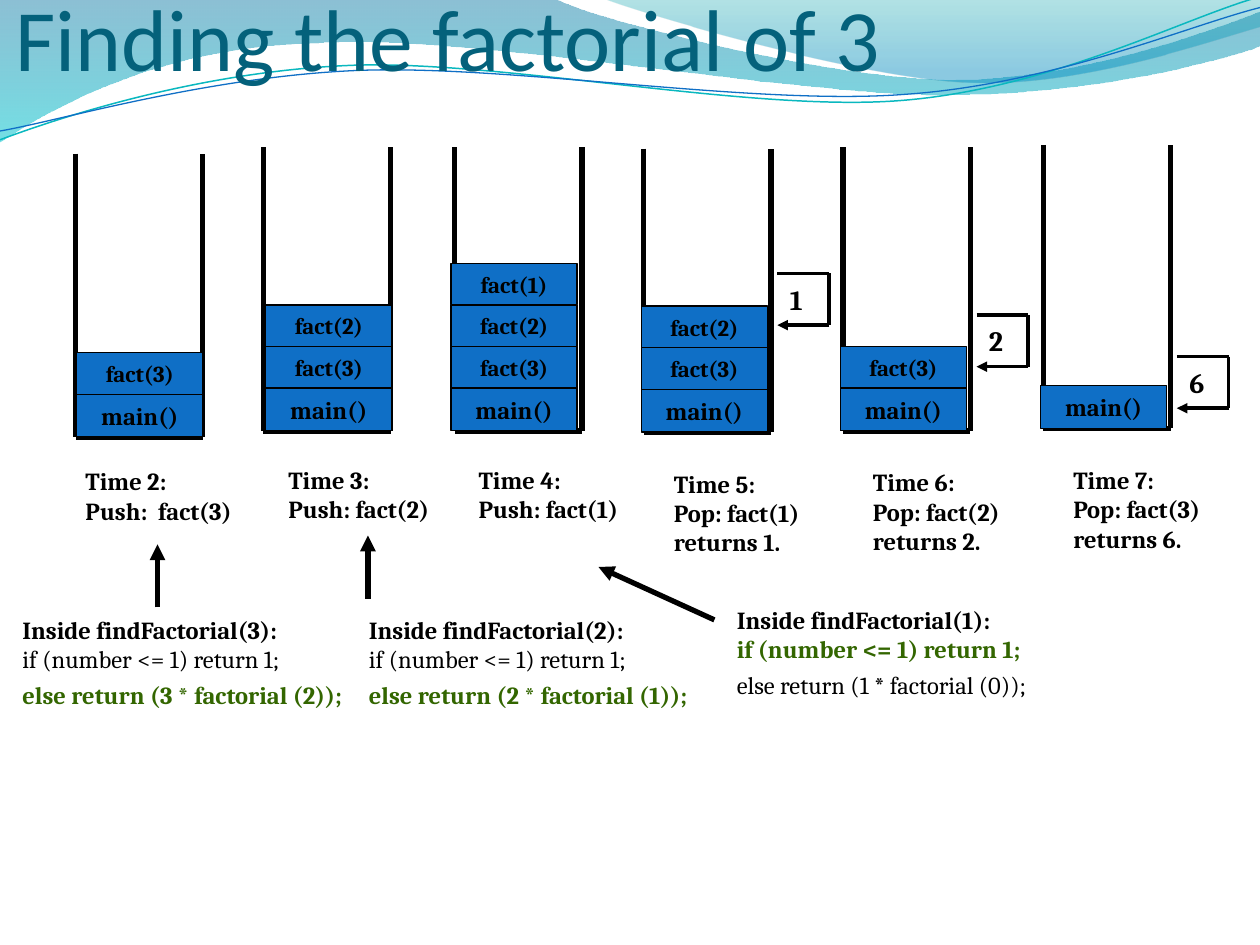
import itertools

import pptx
import pptx.dml.color
import pptx.enum.shapes
import pptx.enum.text
import pptx.oxml.ns
import pptx.util
from lxml import etree

WIDTH, HEIGHT = pptx.util.Inches(10), pptx.util.Inches(7.5)
COLUMN, ROW = WIDTH / 10, HEIGHT / 7.5  # grid of 10 columns by 7.5 rows
BLACK, BLUE, GREEN, TEAL = "000000", "0F6FC6", "336600", "04617B"
CELL_WIDTH, CELL_HEIGHT, CELL_PITCH = 1, 0.34, 0.33
RAIL_WIDTH, RAIL_HEIGHT = 1.01, 2.25
RETURN_SIZE, RETURN_GAP = 0.41, 0.05

# rail left, floor, cell shift, calls from the bottom up, caption box, caption, return (top, value)
STACKS = [
    (0.6, 3.47, 0.01, ["main()", "fact(3)"],
     (0.58, 3.65, 1.61, 0.68), ["Time 2:", "Push:  fact(3)"], None),
    (2.09, 3.42, 0.02, ["main()", "fact(3)", "fact(2)"],
     (2.19, 3.64, 1.38, 0.68), ["Time 3:", "Push: fact(2)"], None),
    (3.61, 3.42, -0.03, ["main()", "fact(3)", "fact(2)", "fact(1)"],
     (3.7, 3.64, 1.38, 0.68), ["Time 4:", "Push: fact(1)"], None),
    (5.11, 3.43, -0.02, ["main()", "fact(3)", "fact(2)"],
     (5.25, 3.67, 1.27, 1.03), ["Time 5:", "Pop: fact(1)", "returns 1."], (2.17, "1")),
    (6.69, 3.42, -0.02, ["main()", "fact(3)"],
     (6.83, 3.66, 1.27, 1.03), ["Time 6:", "Pop: fact(2)", "returns 2."], (2.5, "2")),
    (8.28, 3.4, -0.02, ["main()"],
     (8.42, 3.64, 1.27, 1.03), ["Time 7:", "Pop: fact(3)", "returns 6."], (2.83, "6")),
]
# box, argument, whether the base case is the branch taken, arrow start, arrow end
CALLS = [
    ((0.08, 4.83, 2.83, 1.23), 3, False, (1.25, 4.82), (1.25, 4.32)),
    ((2.83, 4.83, 2.83, 1.23), 2, False, (2.92, 4.75), (2.92, 4.25)),
    ((5.75, 4.75, 2.83, 1.23), 1, True, (5.67, 4.92), (4.75, 4.5)),
]
# Each wave: first point, then segments of one point (straight) or three (cubic curve)
WAVE_FILLS = [
    ([(0, 0), [(4.4, -0.01)],
      [(4.76, 0.17), (6.64, 0.63), (7.58, 0.63)], [(8.53, 0.63), (9.58, 0.26), (10, 0.09)],
      [(10.01, 0.36)],
      [(9.83, 0.44), (8.7, 0.76), (7.46, 0.75)], [(6.22, 0.75), (3.82, 0.28), (2.57, 0.34)],
      [(1.29, 0.36), (0.46, 0.83), (-0.01, 1.13)]],
     [(0, "0074A1", 45), (1, "00C6CF", 55)]),
    ([(4.79, -0.01), [(5.09, 0.11), (6.82, 0.62), (7.69, 0.65)],
      [(8.56, 0.69), (9.61, 0.32), (10, 0.21)], [(10, 0)]],
     [(0, "00A1A9", 30), (0.8, "008BBF", 45)]),
]
WAVE_LINES = [
    ([(0, 1.11), [(0.48, 0.93), (1.58, 0.57), (2.77, 0.52)],
      [(3.95, 0.47), (5.93, 0.89), (7.13, 0.8)], [(8.33, 0.71), (9.38, 0.15), (9.98, -0.02)]],
     "0AB8BF", 0.85),
    ([(0, 1.04), [(0.47, 0.96), (1.64, 0.61), (2.83, 0.56)],
      [(4.03, 0.51), (5.97, 0.84), (7.17, 0.75)], [(8.36, 0.67), (9.41, 0.21), (10, 0.06)]],
     BLUE, 0.75),
]


def color(value):
    return pptx.dml.color.RGBColor.from_string(value)


def place(across, down):
    return round(across * COLUMN), round(down * ROW)


def frame(box):
    left, top, width, height = box
    return *place(left, top), *place(width, height)


def set_line(shape, value, points):
    shape.line.color.rgb = color(value)
    shape.line.width = pptx.util.Pt(points)


def add_span(para, text, size, value=BLACK, bold=True, font="Cambria"):
    span = para.add_run()
    span.text = text
    span.font.size, span.font.name, span.font.bold = pptx.util.Pt(size), font, bold
    span.font.color.rgb = color(value)


def add_text(page, box, lines, size=14):
    """Each line is (text, colour, bold); returns the text frame."""
    body = page.shapes.add_textbox(*frame(box)).text_frame
    body.word_wrap = True
    for index, (text, value, bold) in enumerate(lines):
        para = body.add_paragraph() if index else body.paragraphs[0]
        add_span(para, text, size, value, bold)
    return body


def add_line(page, start, end, points=3, arrow=False):
    line = page.shapes.add_connector(
        pptx.enum.shapes.MSO_CONNECTOR.STRAIGHT, *place(*start), *place(*end))
    set_line(line, BLACK, points)
    if arrow:
        tail = etree.SubElement(line.line._get_or_add_ln(), pptx.oxml.ns.qn("a:tailEnd"))
        tail.set("type", "triangle")
    etree.SubElement(line._element.spPr, pptx.oxml.ns.qn("a:effectLst"))


def add_wave(page, outline, closed):
    """Lay out all knots as straight steps, then join each three into a cubic curve."""
    first, *segments = outline
    builder = page.shapes.build_freeform(*place(*first))
    knots = [place(*point) for point in itertools.chain(*segments)]
    builder.add_line_segments(knots, close=closed)
    wave = builder.convert_to_shape()
    wave.shadow.inherit = False
    steps = iter(list(wave._element.iter(pptx.oxml.ns.qn("a:lnTo"))))
    for segment in segments:
        parts = list(itertools.islice(steps, len(segment)))
        if len(parts) == 3:
            curve = etree.Element(pptx.oxml.ns.qn("a:cubicBezTo"))
            parts[0].addprevious(curve)
            for part in parts:
                curve.append(part[0])
                part.getparent().remove(part)
    return wave


def add_background(page):
    for outline, stops in WAVE_FILLS:
        wave = add_wave(page, outline, True)
        wave.line.fill.background()
        wave.fill.gradient()
        wave.fill.gradient_angle = 270
        for stop, (position, value, _) in zip(wave.fill.gradient_stops, stops):
            stop.position, stop.color.rgb = position, color(value)
        tones = wave._element.spPr.iter(pptx.oxml.ns.qn("a:srgbClr"))
        for tone, (_, _, opacity) in zip(tones, stops):
            etree.SubElement(tone, pptx.oxml.ns.qn("a:alpha")).set("val", str(opacity * 1000))
    for outline, value, points in WAVE_LINES:
        wave = add_wave(page, outline, False)
        wave.fill.background()
        set_line(wave, value, points)


def add_title(page, box, text):
    title = page.shapes.add_textbox(*frame(box)).text_frame
    title.word_wrap = True
    title.vertical_anchor = pptx.enum.text.MSO_ANCHOR.BOTTOM
    title.margin_left = title.margin_right = title.margin_bottom = 0
    add_span(title.paragraphs[0], text, 50, TEAL, False, "Calibri")


def add_cell(page, box, text, size):
    cell = page.shapes.add_shape(pptx.enum.shapes.MSO_SHAPE.RECTANGLE, *frame(box))
    cell.shadow.inherit = False
    cell.fill.solid()
    cell.fill.fore_color.rgb = color(BLUE)
    set_line(cell, BLACK, 0.75)
    cell.text_frame.vertical_anchor = pptx.enum.text.MSO_ANCHOR.MIDDLE
    para = cell.text_frame.paragraphs[0]
    para.alignment = pptx.enum.text.PP_ALIGN.CENTER
    add_span(para, text, size)


def add_return(page, left, top, value):
    right, bottom = left + RETURN_SIZE, top + RETURN_SIZE
    corners = [(left, top), (right, top), (right, bottom), (left, bottom)]
    for index, (start, end) in enumerate(itertools.pairwise(corners)):
        add_line(page, start, end, 2, arrow=index == 2)
    add_text(page, (left, top + 0.02, 0.32, 0.37), [(value, BLACK, True)], 16)


def add_stack(page, left, floor, shift, calls, caption_box, caption, returned):
    right, top = left + RAIL_WIDTH, floor - RAIL_HEIGHT
    corners = [(left, top), (left, floor), (right, floor), (right, top)]
    for start, end in itertools.pairwise(corners):
        add_line(page, start, end)
    for level, call in enumerate(calls):
        height, size = (CELL_PITCH, 13) if level else (CELL_HEIGHT, 14)
        cell_top = floor - CELL_HEIGHT - level * CELL_PITCH
        add_cell(page, (left + shift, cell_top, CELL_WIDTH, height), call, size)
    add_text(page, caption_box, [(text, BLACK, True) for text in caption])
    if returned:
        add_return(page, right + RETURN_GAP, *returned)


def add_call(page, box, number, is_base, start, end):
    taken, skipped = (GREEN, True), (BLACK, False)
    lines = [
        (f"Inside findFactorial({number}):", BLACK, True),
        ("if (number <= 1) return 1;", *(taken if is_base else skipped)),
        (f"else return ({number} * factorial ({number - 1}));", *(skipped if is_base else taken)),
    ]
    body = add_text(page, box, lines)
    body.paragraphs[-1].space_before = pptx.util.Pt(3.5)
    add_line(page, start, end, arrow=True)


def main():
    deck = pptx.Presentation()
    deck.slide_width, deck.slide_height = WIDTH, HEIGHT
    page = deck.slides.add_slide(deck.slide_layouts[6])
    add_background(page)
    add_title(page, (0.12, -0.23, 9.54, 0.94), "Finding the factorial of 3")
    for stack in STACKS:
        add_stack(page, *stack)
    for call in CALLS:
        add_call(page, *call)
    deck.save("out.pptx")


if __name__ == "__main__":
    main()
